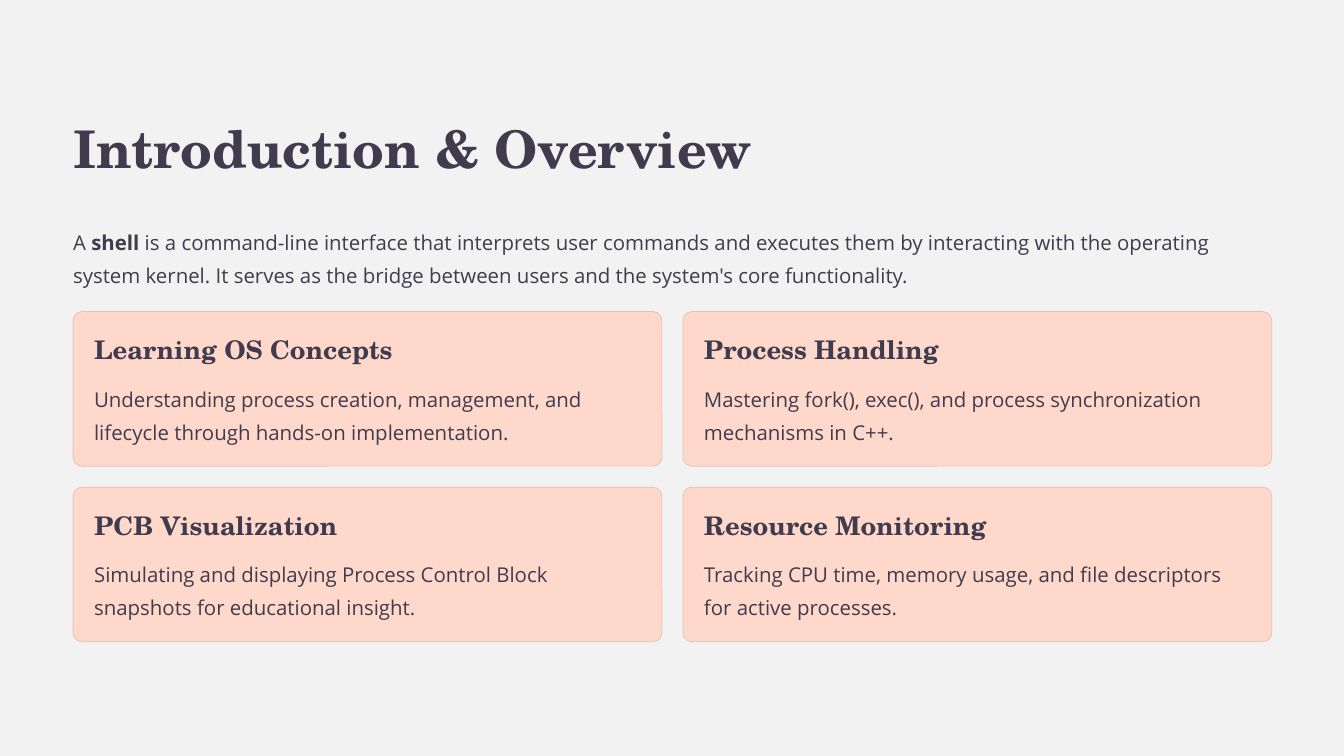
import pptx
import pptx.dml.color
import pptx.enum.shapes
import pptx.enum.text
import pptx.util
from pptx.dml.color import RGBColor
from pptx.util import Inches

BACKGROUND = RGBColor(0xF2, 0xF2, 0xF2)
INK = RGBColor(0x40, 0x3C, 0x4E)
CARD_FILL = RGBColor(0xFF, 0xD8, 0xCC)
CARD_LINE = RGBColor(0xE5, 0xBE, 0xB2)
SERIF = "TeX Gyre Schola"
SANS = "Open Sans"

LEFT, WIDTH = 0.87, 14.26
CARDS_TOP = 3.71
CARD_WIDTH, CARD_HEIGHT = 7.01, 1.84
GAP = 0.25
PADDING = 0.25

INTRO = [
    ("A ", False),
    ("shell", True),
    (" is a command-line interface that interprets user commands and executes "
     "them by interacting with the operating system kernel. It serves as the "
     "bridge between users and the system's core functionality.", False),
]
CARDS = [
    ("Learning OS Concepts",
     "Understanding process creation, management, and lifecycle through "
     "hands-on implementation."),
    ("Process Handling",
     "Mastering fork(), exec(), and process synchronization mechanisms in C++."),
    ("PCB Visualization",
     "Simulating and displaying Process Control Block snapshots for "
     "educational insight."),
    ("Resource Monitoring",
     "Tracking CPU time, memory usage, and file descriptors for active processes."),
]


def write(sp, segments, font, size, spacing):
    """Fill a shape with one paragraph of (text, bold) segments."""
    tf = sp.text_frame
    tf.margin_left = tf.margin_top = tf.margin_right = tf.margin_bottom = 0
    tf.auto_size = pptx.enum.text.MSO_AUTO_SIZE.NONE
    tf.vertical_anchor = pptx.enum.text.MSO_ANCHOR.TOP
    tf.word_wrap = True
    p = tf.paragraphs[0]
    p.alignment = pptx.enum.text.PP_ALIGN.LEFT
    p.line_spacing = pptx.util.Pt(spacing)
    for text, bold in segments:
        r = p.add_run()
        r.text = text
        r.font.name = font
        r.font.size = pptx.util.Pt(size)
        r.font.bold = bold
        r.font.color.rgb = INK


def add_text(slide, left, top, width, height, *style):
    box = slide.shapes.add_textbox(
        Inches(left), Inches(top), Inches(width), Inches(height))
    write(box, *style)


def add_title(slide, left, top, width, height):
    title = slide.shapes.title
    title.left, title.top = Inches(left), Inches(top)
    title.width, title.height = Inches(width), Inches(height)
    write(title, [("Introduction & Overview", True)], SERIF, 44.5, 55.5)


def add_card(slide, left, top, width, height, heading, body):
    sp = slide.shapes.add_shape(
        pptx.enum.shapes.MSO_SHAPE.ROUNDED_RECTANGLE,
        Inches(left), Inches(top), Inches(width), Inches(height))
    sp.adjustments[0] = 0.057
    sp.shadow.inherit = False
    sp.fill.solid()
    sp.fill.fore_color.rgb = CARD_FILL
    sp.line.color.rgb = CARD_LINE
    sp.line.width = pptx.util.Pt(0.6)
    inner_left = left + PADDING
    inner_width = width - 2 * PADDING
    add_text(slide, inner_left, top + PADDING, inner_width, 0.39,
             [(heading, True)], SERIF, 22, 27.5)
    add_text(slide, inner_left, top + 0.79, inner_width, 0.79,
             [(body, False)], SANS, 17.5, 28.5)


def add_card_grid(slide, left, top):
    for i, (heading, body) in enumerate(CARDS):
        row, column = divmod(i, 2)
        add_card(slide, left + column * (CARD_WIDTH + GAP),
                 top + row * (CARD_HEIGHT + GAP),
                 CARD_WIDTH, CARD_HEIGHT, heading, body)


def main():
    prs = pptx.Presentation()
    prs.slide_width, prs.slide_height = Inches(16), Inches(9)
    slide = prs.slides.add_slide(prs.slide_layouts.get_by_name("Title Only"))
    slide.background.fill.solid()
    slide.background.fill.fore_color.rgb = BACKGROUND
    add_title(slide, LEFT, 1.36, WIDTH, 0.78)
    add_text(slide, LEFT, 2.63, WIDTH, 0.79, INTRO, SANS, 17.5, 28.5)
    add_card_grid(slide, LEFT, CARDS_TOP)
    prs.save("out.pptx")


if __name__ == "__main__":
    main()
